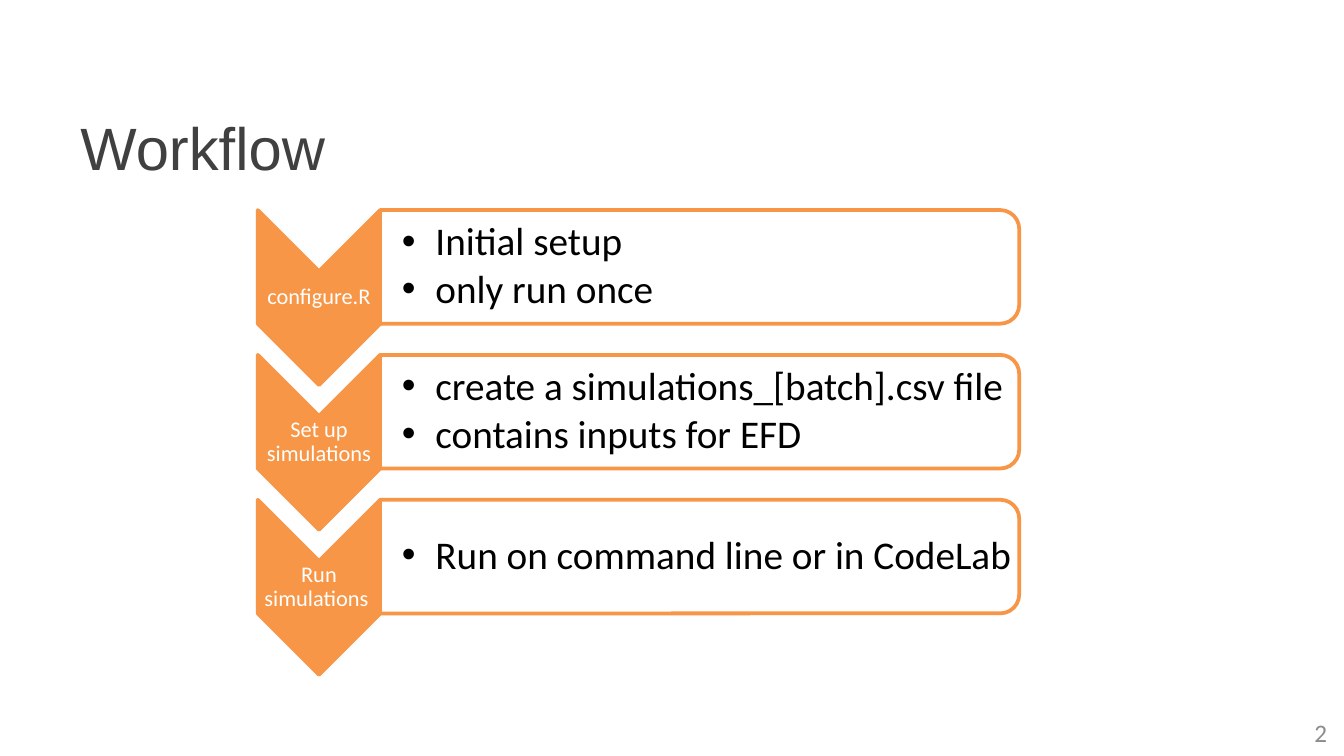
from lxml.etree import SubElement
from pptx import Presentation
from pptx.dml.color import RGBColor
from pptx.enum.shapes import MSO_SHAPE as Preset
from pptx.enum.text import MSO_ANCHOR as Anchor, PP_ALIGN as Align
from pptx.oxml.ns import qn
from pptx.util import Pt

STEPS = [
    ("configure.R", ["Initial setup", "only run once"]),
    ("Set up simulations", ["create a simulations_[batch].csv file", "contains inputs for EFD"]),
    ("Run simulations ", ["Run on command line or in CodeLab"]),
]
STEP_GAP = 77.6


def color(value):
    return RGBColor.from_string(value)


class WorkflowSlide:
    accent = "F79646"
    white = "FFFFFF"
    black = "000000"
    title_color = "404040"
    number_color = "8C8C8C"
    body_font = "Calibri"
    title_font = "Arial"

    def __init__(self, deck):
        self.page = deck.slides.add_slide(deck.slide_layouts[6])

    def text(self, lines, left, top, width, height, size, ink, font=None,
             align=Align.LEFT, insets=(7.2, 3.6, 7.2, 3.6), spacing=None):
        box = self.page.shapes.add_textbox(Pt(left), Pt(top), Pt(width), Pt(height))
        frame = box.text_frame
        frame.word_wrap = True
        frame.vertical_anchor = Anchor.MIDDLE
        frame.margin_left, frame.margin_top, frame.margin_right, frame.margin_bottom = map(Pt, insets)
        frame.text = "\n".join(lines)
        for para in frame.paragraphs:
            para.alignment = align
            para.line_spacing = spacing
            for span in para.runs:
                span.font.name = font or self.body_font
                span.font.size = Pt(size)
                span.font.color.rgb = color(ink)
        return frame

    def bullets(self, lines, left, top, width, height):
        frame = self.text(lines, left, top, width, height, 21, self.black,
                          insets=(11.6, 0.95, 0.95, 0.95), spacing=0.9)
        for para in frame.paragraphs:
            para.level = 1
            para.space_after = Pt(3)
            properties = para._p.get_or_add_pPr()
            properties.set("marL", str(Pt(18)))
            properties.set("indent", str(Pt(-18)))
            SubElement(properties, qn("a:buFont"), typeface="Arial")
            SubElement(properties, qn("a:buChar"), char="•")

    def turned_shape(self, preset, center_x, center_y, width, height, fill, opacity=100):
        shape = self.page.shapes.add_shape(
            preset, Pt(center_x - width / 2), Pt(center_y - height / 2), Pt(width), Pt(height))
        shape.rotation = 90
        shape.shadow.inherit = False
        shape.fill.solid()
        shape.fill.fore_color.rgb = color(fill)
        shape.line.color.rgb = color(self.accent)
        shape.line.width = Pt(2)
        if opacity < 100:
            tint = shape._element.spPr.find(qn("a:solidFill"))[0]
            SubElement(tint, qn("a:alpha"), val=str(opacity * 1000))

    def step(self, label, details, top):
        self.turned_shape(Preset.CHEVRON, 170.9, top + 46.9, 93.7, 65.6, self.accent)
        self.text([label], 138.1, top + 32.8, 65.6, 28.1, 12, self.white,
                  align=Align.CENTER, insets=(0.6, 0.6, 0.6, 0.6), spacing=0.9)
        self.turned_shape(Preset.ROUND_2_SAME_RECTANGLE, 374.8, top + 30.5, 60.9, 342.4,
                          self.white, 90)
        self.bullets(details, 203.7, top + 3, 339.6, 55)


def main():
    deck = Presentation()
    deck.slide_width, deck.slide_height = Pt(720), Pt(405)
    slide = WorkflowSlide(deck)
    slide.text(["2"], 550, 381.6, 168, 21.6, 13.5, slide.number_color, align=Align.RIGHT)
    slide.text(["Workflow"], 36, 45, 648, 67.5, 32, slide.title_color, slide.title_font)
    for index, (label, details) in enumerate(STEPS):
        slide.step(label, details, 112.5 + index * STEP_GAP)
    deck.save("out.pptx")


if __name__ == "__main__":
    main()
